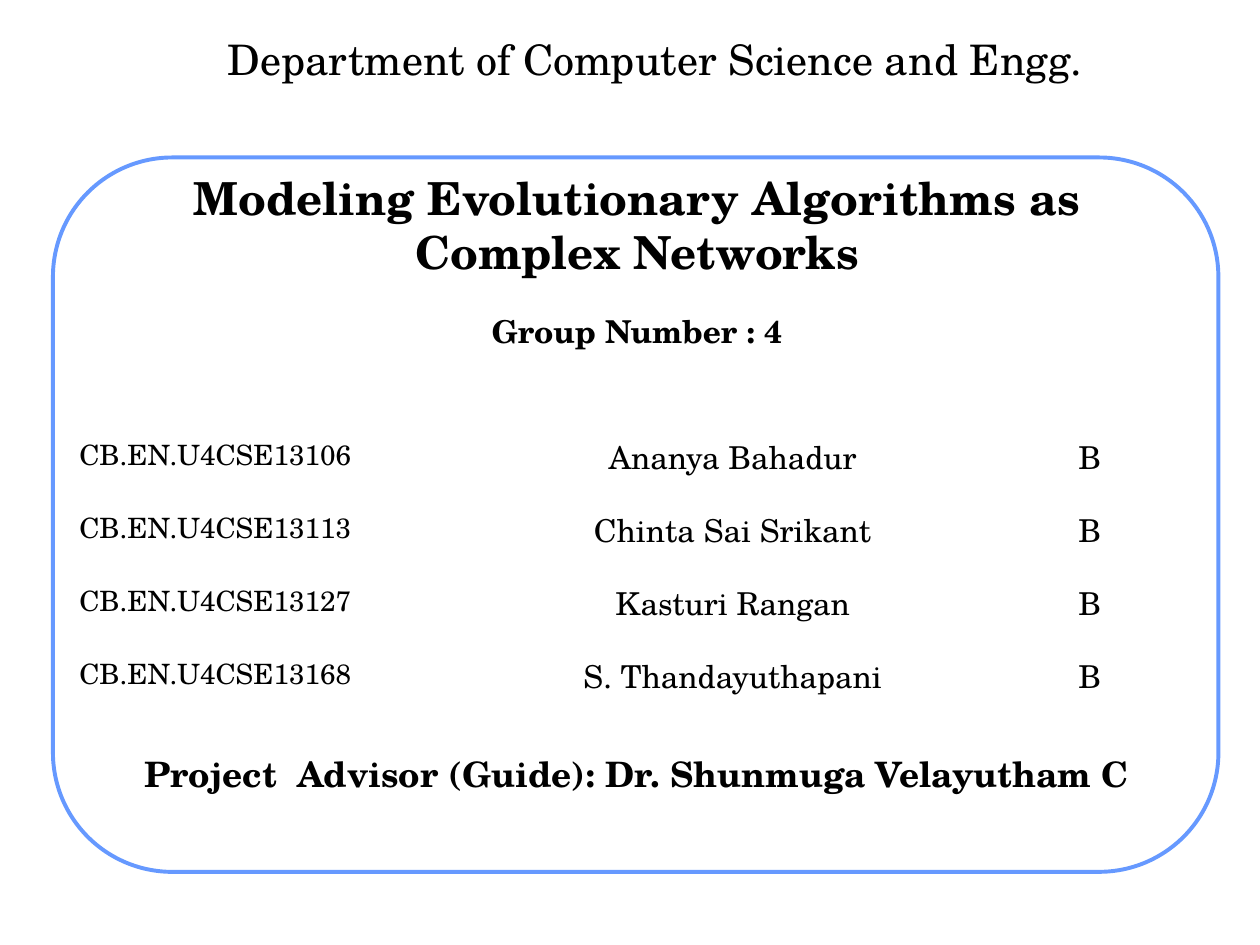
import pptx
import pptx.dml.color
import pptx.enum.shapes
import pptx.enum.text
import pptx.util

Inches = pptx.util.Inches
Pt = pptx.util.Pt
Align = pptx.enum.text.PP_ALIGN
Anchor = pptx.enum.text.MSO_ANCHOR


def color(value):
    return pptx.dml.color.RGBColor.from_string(value)


class SlideBuilder:
    font_name = "TeX Gyre Schola"
    text_color = "000000"
    panel_fill = "FFFFFF"
    panel_line = "6699FF"

    def __init__(self, slide):
        self.slide = slide

    def style(self, paragraph, text, size, bold=False, align=Align.CENTER):
        paragraph.text = text
        paragraph.alignment = align
        paragraph.font.name = self.font_name
        paragraph.font.size = Pt(size)
        paragraph.font.bold = bold
        paragraph.font.color.rgb = color(self.text_color)

    def panel(self, left, top, width, height):
        shape = self.slide.shapes.add_shape(
            pptx.enum.shapes.MSO_SHAPE.ROUNDED_RECTANGLE,
            Inches(left), Inches(top), Inches(width), Inches(height))
        shape.adjustments[0] = 0.167
        shape.shadow.inherit = False
        shape.fill.solid()
        shape.fill.fore_color.rgb = color(self.panel_fill)
        shape.line.color.rgb = color(self.panel_line)
        shape.line.width = Pt(2.25)

    def text(self, left, top, width, height, text, size, bold=False):
        shape = self.slide.shapes.add_textbox(
            Inches(left), Inches(top), Inches(width), Inches(height))
        frame = shape.text_frame
        frame.word_wrap = True
        frame.vertical_anchor = Anchor.MIDDLE
        frame.margin_left = frame.margin_right = Inches(0.05)
        self.style(frame.paragraphs[0], text, size, bold)

    def table(self, left, top, widths, row_height, rows, sizes, aligns):
        shape = self.slide.shapes.add_table(
            len(rows), len(widths), Inches(left), Inches(top),
            Inches(sum(widths)), Inches(row_height * len(rows)))
        table = shape.table
        table.first_row = False
        table.horz_banding = False
        for column, width in zip(table.columns, widths):
            column.width = Inches(width)
        for row, values in zip(table.rows, rows):
            for cell, value, size, align in zip(row.cells, values, sizes, aligns):
                cell.fill.background()
                self.style(cell.text_frame.paragraphs[0], value, size, align=align)


def main():
    presentation = pptx.Presentation()
    presentation.slide_width = Inches(10)
    presentation.slide_height = Inches(7.5)
    builder = SlideBuilder(presentation.slides.add_slide(presentation.slide_layouts[6]))

    builder.panel(0.42, 1.25, 9.25, 5.67)
    builder.text(0.81, 1.24, 8.5, 1.08,
                 "Modeling Evolutionary Algorithms as Complex Networks", 26, True)
    builder.text(0.68, 2.43, 8.75, 0.4, "Group Number : 4", 18, True)
    builder.text(0.68, 5.92, 8.75, 0.44,
                 "Project  Advisor (Guide): Dr. Shunmuga Velayutham C", 20, True)
    builder.text(1.4, 0.2, 7.6, 0.53, "Department of Computer Science and Engg.", 24)

    members = [
        ("CB.EN.U4CSE13106", "Ananya Bahadur", "B"),
        ("CB.EN.U4CSE13113", "Chinta Sai Srikant", "B"),
        ("CB.EN.U4CSE13127", "Kasturi Rangan", "B"),
        ("CB.EN.U4CSE13168", "S. Thandayuthapani", "B"),
    ]
    builder.table(0.53, 3.39, [2.64, 5.29, 0.96], 0.58, members,
                  [16, 18, 18], [Align.LEFT, Align.CENTER, Align.LEFT])

    presentation.save("out.pptx")


if __name__ == "__main__":
    main()
